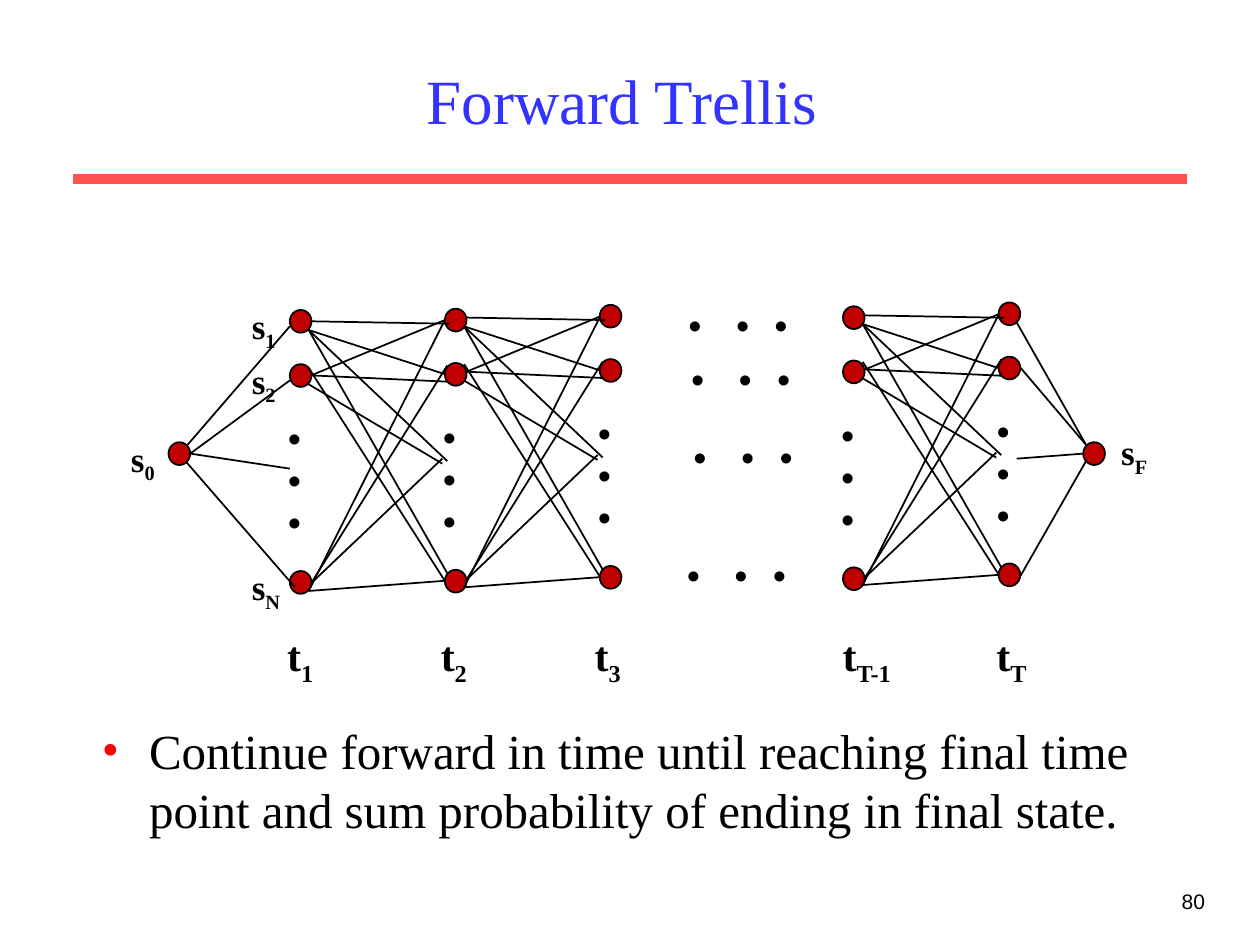
"""Builds the Forward Trellis slide: state columns, transitions and a summary."""
from lxml import etree
from pptx import Presentation
from pptx.dml.color import RGBColor
from pptx.enum.shapes import MSO_CONNECTOR, MSO_SHAPE
from pptx.enum.text import MSO_ANCHOR, MSO_AUTO_SIZE, PP_ALIGN
from pptx.oxml.ns import qn
from pptx.util import Pt

STRAIGHT = MSO_CONNECTOR.STRAIGHT
OVAL = MSO_SHAPE.OVAL
MIDDLE = MSO_ANCHOR.MIDDLE
GROW = MSO_AUTO_SIZE.SHAPE_TO_FIT_TEXT
LEFT, CENTER, RIGHT = PP_ALIGN.LEFT, PP_ALIGN.CENTER, PP_ALIGN.RIGHT

THEME = {
    "serif": "Times New Roman", "sans": "Arial",
    "title": "3333FF", "rule": "FF5050", "node": "C00000", "ink": "000000", "bullet": "FF0000",
    "title_size": 36, "summary_size": 28, "time_size": 24, "state_size": 20, "number_size": 12,
}

TITLE = "Forward Trellis "
SUMMARY = ("Continue forward in time until reaching final time "
           "point and sum probability of ending in final state.")
SLIDE_NUMBER = "80"

COLUMNS = [(165.6, 177.1), (254.2, 176.4), (342.7, 174.2), (481.7, 175), (570.6, 172.8)]
ROW_OFFSETS = [0, 31, 149.2]
END_NODES = [(96.3, 252.7), (619, 252.7)]
NODE_SIZE = (12.4, 13)

STATE_LABELS = [("1", 136.8, 170.6, 28.5), ("2", 136.8, 201.6, 28.5), ("N", 136.8, 319.7, 33),
                ("0", 67.7, 246.2, 28.5), ("F", 633.6, 242.6, 33)]
TIME_LABELS = [("1", 157, 30), ("2", 244.8, 30), ("3", 332.8, 30),
               ("T-1", 474.5, 44), ("T", 562.3, 33)]
TIME_TOP = 356.4
ELLIPSIS_ROWS = [(386.6, 169.9), (388.1, 200.9), (389.5, 245.5), (385.7, 312.5)]
ELLIPSIS_TABS = [27.2, 49.2]

BUNDLES = [(165.6, 177.1), (254.4, 175), (482.2, 173.7)]
TRANSITIONS = [
    ((12.2, 6.5), [(91.4, 7.9)]),
    ((10.8, 11.5), [(88.6, 36.7), (90, 150.5), (90, 86.4)]),
    ((12.2, 37.4), [(88.6, 5.8), (90, 41)]),
    ((10.8, 33.1), [(88.6, 154.8)]),
    ((10.8, 160.6), [(88.6, 5.8), (88.6, 154.8)]),
    ((12.2, 156.2), [(90, 31.7), (87.1, 85)]),
    ((10.8, 42.5), [(87.1, 87.8)]),
]
END_EDGES = [
    ((106.6, 254.9), (165.6, 186.5)), ((108.7, 259.2), (165.6, 217.4)),
    ((106.6, 264.2), (168.5, 335.5)), ((108.7, 259.2), (165.6, 267.8)),
    ((581, 184.3), (620.6, 254.2)), ((583.2, 210.2), (620.6, 254.2)),
    ((583.2, 329), (620.6, 263.5)), ((581, 262.1), (619.2, 259.2)),
]


def color(part):
    return RGBColor.from_string(THEME[part])


def style(paragraph, face, size, ink="ink", bold=False, align=LEFT):
    font = paragraph.font
    font.name, font.size, font.bold = THEME[face], Pt(THEME[size]), bold
    font.color.rgb = color(ink)
    paragraph.alignment = align


def add_edge(slide, start, end, ink="ink", width=1):
    edge = slide.shapes.add_connector(STRAIGHT, *(Pt(v) for v in (*start, *end)))
    edge.line.color.rgb = color(ink)
    edge.line.width = Pt(width)
    etree.SubElement(edge._element.spPr, qn("a:effectLst"))


def add_node(slide, left, top):
    node = slide.shapes.add_shape(OVAL, *(Pt(v) for v in (left, top, *NODE_SIZE)))
    node.shadow.inherit = False
    node.fill.solid()
    node.fill.fore_color.rgb = color("node")
    node.line.color.rgb = color("ink")
    node.line.width = Pt(1)


def add_text(slide, box, lines, wrap=True):
    frame = slide.shapes.add_textbox(*(Pt(v) for v in box)).text_frame
    frame.word_wrap = wrap
    if not wrap:
        frame.auto_size = GROW
    frame.text = "\n".join(lines)
    return frame.paragraphs


def add_label(slide, box, base, subscript, size):
    label = add_text(slide, box, [base], wrap=False)[0]
    style(label, "serif", size, bold=True)
    lowered = label.add_run()
    lowered.text = subscript
    lowered._r.get_or_add_rPr().set("baseline", "-25000")


def add_ellipsis_row(slide, left, top):
    dots = add_text(slide, (left, top, 74.2, 31.7), ["•\t•\t•"])[0]
    stops = etree.SubElement(dots._p.get_or_add_pPr(), qn("a:tabLst"))
    for stop in ELLIPSIS_TABS:
        etree.SubElement(stops, qn("a:tab"), pos=str(Pt(stop)), algn="l")
    style(dots, "sans", "state_size", bold=True)


def add_title(slide):
    title = slide.shapes.title
    title.left, title.top, title.width, title.height = (Pt(v) for v in (54, 18, 612, 77.8))
    title.text_frame.text = TITLE
    title.text_frame.vertical_anchor = MIDDLE
    style(title.text_frame.paragraphs[0], "serif", "title_size", "title", align=CENTER)


def add_summary(slide):
    summary = add_text(slide, (51.1, 408.2, 612, 131.8), [SUMMARY])[0]
    summary.space_before = Pt(7)
    properties = summary._p.get_or_add_pPr()
    properties.set("marL", str(Pt(27)))
    properties.set("indent", str(Pt(-27)))
    bullet_color = etree.SubElement(properties, qn("a:buClr"))
    etree.SubElement(bullet_color, qn("a:srgbClr"), val=THEME["bullet"])
    etree.SubElement(properties, qn("a:buFont"), typeface=THEME["serif"])
    etree.SubElement(properties, qn("a:buChar"), char="•")
    style(summary, "serif", "summary_size")


def main():
    deck = Presentation()
    deck.slide_width, deck.slide_height = Pt(720), Pt(540)
    slide = deck.slides.add_slide(deck.slide_layouts[5])

    add_edge(slide, (41.8, 102.2), (678.2, 102.2), "rule", 6)
    add_title(slide)
    number = add_text(slide, (545.8, 504, 149.8, 36), [SLIDE_NUMBER])[0]
    style(number, "sans", "number_size", align=RIGHT)

    for left, top in COLUMNS:
        for offset in ROW_OFFSETS:
            add_node(slide, left, top + offset)
        for dot in add_text(slide, (left - 7.9, top + 57.6, 22.3, 79.2), "•••", wrap=False):
            style(dot, "sans", "state_size", bold=True)
    for left, top in END_NODES:
        add_node(slide, left, top)

    for subscript, left, top, width in STATE_LABELS:
        add_label(slide, (left, top, width, 34.6), "s", subscript, "state_size")
    for subscript, left, width in TIME_LABELS:
        add_label(slide, (left, TIME_TOP, width, 40.3), "t", subscript, "time_size")
    for left, top in ELLIPSIS_ROWS:
        add_ellipsis_row(slide, left, top)

    for left, top in BUNDLES:
        for (x, y), targets in TRANSITIONS:
            for to_x, to_y in targets:
                add_edge(slide, (left + x, top + y), (left + to_x, top + to_y))
    for start, end in END_EDGES:
        add_edge(slide, start, end)

    add_summary(slide)
    deck.save("out.pptx")


if __name__ == "__main__":
    main()
